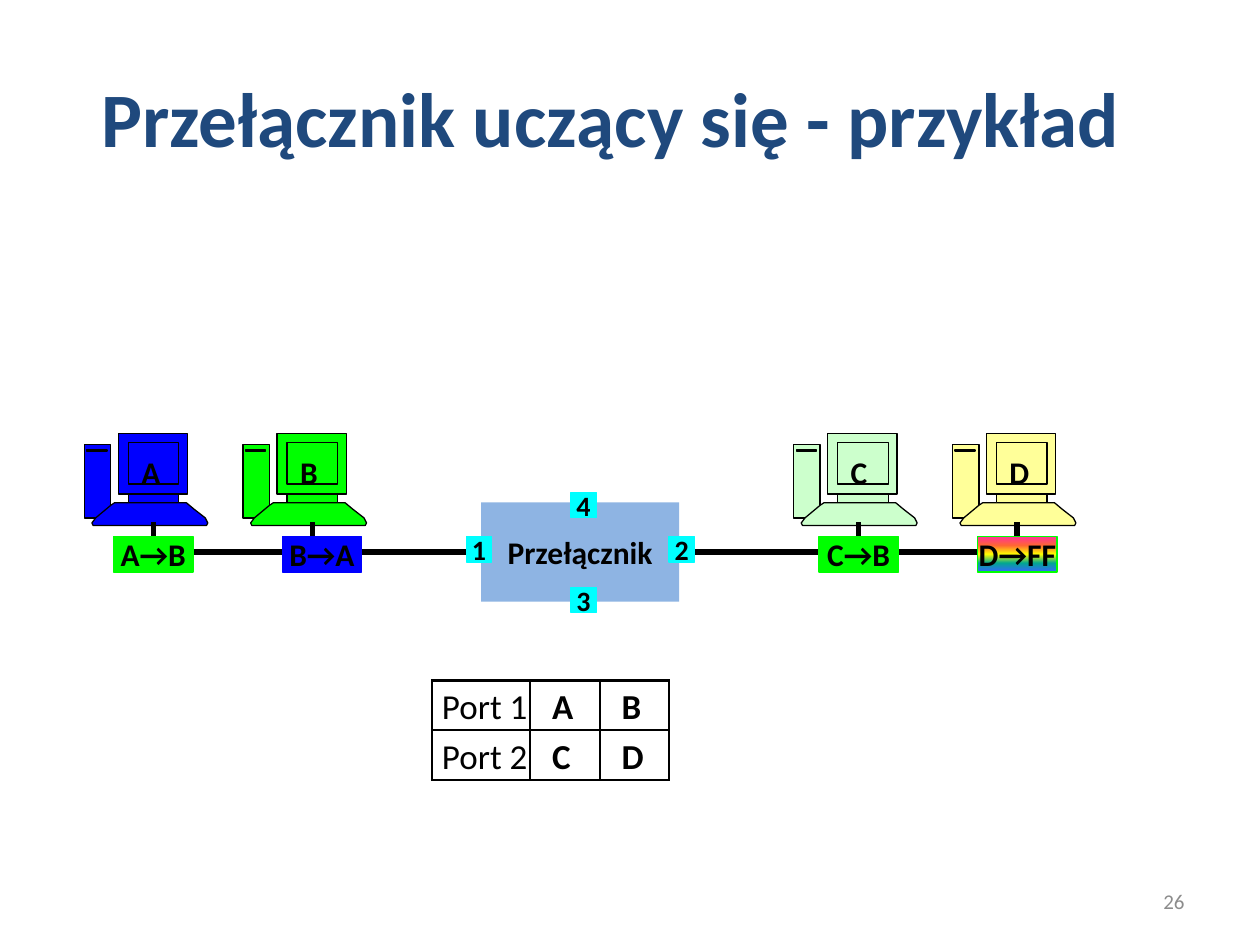
from lxml import etree
from pptx import Presentation
from pptx import oxml
from pptx.dml.color import RGBColor
from pptx.enum import shapes, text
from pptx.oxml.ns import qn
from pptx.util import Cm, Pt

BLACK = RGBColor(0, 0, 0)
NAVY = RGBColor(0x1F, 0x49, 0x7D)
GREY = RGBColor(0x8C, 0x8C, 0x8C)
SKY = RGBColor(0x8E, 0xB4, 0xE3)
CYAN = RGBColor(0, 0xFF, 0xFF)
BLUE = RGBColor(0, 0, 0xFF)
GREEN = RGBColor(0, 0xFF, 0)
MINT = RGBColor(0xCC, 0xFF, 0xCC)
CREAM = RGBColor(0xFF, 0xFF, 0x99)
RAINBOW = ["FF3399", "FF6633", "FFFF00", "01A78F", "3366FF"]

# Content (lengths in cm)
TITLE = "Przełącznik uczący się - przykład"
# name, colour, left, cable x, frame text, frame left, frame colour
HOSTS = [
    ("A", BLUE, 1.7, 3.1, "A→B", 2.29, GREEN),
    ("B", GREEN, 4.9, 6.3, "B→A", 5.69, BLUE),
    ("C", MINT, 16, 17.3, "C→B", 16.51, GREEN),
    ("D", CREAM, 19.2, 20.5, "D→FF", 19.71, None),
]
PORTS = [("1", 9.4, 10.82), ("2", 13.49, 10.82), ("3", 11.51, 11.84), ("4", 11.51, 9.93)]
BUSES = [(3.1, 9.5), (13.89, 20.5)]
ROWS = [("Port 1", "A", "B"), ("Port 2", "C", "D")]
WIDTHS = [1.98, 1.4, 1.4]
HOST_Y, CABLE_Y, BUS_Y, FRAME_Y = 8.74, 10.52, 11.13, 10.82


def box(x0, y0, x1, y1):
    return [(x0, y0), (x1, y0), (x1, y1), (x0, y1)]


# Computer outline, in hundredths of an inch
PARTS = [
    box(0, 9, 21, 67),     # tower
    [(21, 57), (24, 55), (81, 55), (87, 60), (96, 67), (98, 71),
     (97, 73), (7, 73), (6, 71), (9, 67)],  # keyboard
    box(35, 48, 75, 55),   # stand
    box(27, 0, 82, 48),    # monitor
    box(35, 7, 75, 40),    # screen
    box(2, 13, 18, 14),    # slot
]
UNIT = Cm(0.0254)

prs = Presentation()
prs.slide_width, prs.slide_height = Cm(25.4), Cm(19.05)
slide = prs.slides.add_slide(prs.slide_layouts[5])
items = slide.shapes


def style(par, size, bold=True, color=BLACK, align=text.PP_ALIGN.CENTER):
    par.alignment = align
    font = par.font
    font.name, font.size, font.bold = "Calibri", Pt(size), bold
    font.color.rgb = color


def paint(shape, fill, line):
    shape.shadow.inherit = False
    shape.fill.solid()
    shape.fill.fore_color.rgb = fill
    if line is None:
        shape.line.fill.background()
    else:
        shape.line.color.rgb = line
        shape.line.width = Pt(0.75)


def block(label, x, y, w, h, size, fill, line=None):
    shape = items.add_shape(shapes.MSO_SHAPE.RECTANGLE, Cm(x), Cm(y), Cm(w), Cm(h))
    paint(shape, fill, line)
    frame = shape.text_frame
    frame.word_wrap = False
    frame.vertical_anchor = text.MSO_ANCHOR.MIDDLE
    frame.text = label
    style(frame.paragraphs[0], size)
    return shape


def cable(x0, y0, x1, y1):
    line = items.add_connector(shapes.MSO_CONNECTOR.STRAIGHT, Cm(x0), Cm(y0), Cm(x1), Cm(y1))
    line.line.color.rgb = BLACK
    line.line.width = Pt(3)
    etree.SubElement(line._element.spPr, qn("a:effectLst"))


def host(name, color, x):
    pen = items.build_freeform(*PARTS[0][0], scale=UNIT)
    for n, part in enumerate(PARTS):
        if n:
            pen.move_to(*part[0])
        pen.add_line_segments(part[1:], close=True)
    shape = pen.convert_to_shape(Cm(x), Cm(HOST_Y))
    # One path per part, so that overlaps stay filled
    first = shape._element.xpath(".//a:path")[0]
    goal = first
    for step in list(first)[1:]:
        if step.tag == qn("a:moveTo"):
            goal = etree.SubElement(first.getparent(), first.tag, dict(first.attrib))
        goal.append(step)
    paint(shape, color, BLACK)
    frame = shape.text_frame
    frame.vertical_anchor = text.MSO_ANCHOR.TOP
    frame.margin_left, frame.margin_top = Cm(1.15), Cm(0.4)
    frame.margin_right = frame.margin_bottom = 0
    frame.word_wrap = False
    frame.text = name
    style(frame.paragraphs[0], 18, align=text.PP_ALIGN.LEFT)


def rainbow(shape):
    stops = "".join(f'<a:gs pos="{n * 25000}"><a:srgbClr val="{c}"/></a:gs>'
                    for n, c in enumerate(RAINBOW))
    space = "http://schemas.openxmlformats.org/drawingml/2006/main"
    grad = oxml.parse_xml(f'<a:gradFill xmlns:a="{space}" rotWithShape="1"><a:gsLst>{stops}'
                          '</a:gsLst><a:lin ang="5400000" scaled="1"/></a:gradFill>')
    props = shape._element.spPr
    props.replace(props.find(qn("a:solidFill")), grad)


def border(cell):
    props = cell._tc.get_or_add_tcPr()
    for n, side in enumerate(("lnL", "lnR", "lnT", "lnB")):
        line = etree.Element(qn("a:" + side), w=str(Pt(1.5)))
        fill = etree.SubElement(line, qn("a:solidFill"))
        etree.SubElement(fill, qn("a:srgbClr"), val=str(BLACK))
        props.insert(n, line)


# Title
title = items.title
title.left, title.top, title.width, title.height = Cm(0.51), Cm(0.76), Cm(23.62), Cm(3.18)
title.text_frame.text = TITLE
title.text_frame.vertical_anchor = text.MSO_ANCHOR.MIDDLE
style(title.text_frame.paragraphs[0], 44, color=NAVY)

# Network
block("Przełącznik", 9.7, 10.13, 3.99, 2, 18, SKY)
for x0, x1 in BUSES:
    cable(x0, BUS_Y, x1, BUS_Y)
for label, x, y in PORTS:
    block(label, x, y, 0.51, 0.51, 16, CYAN, CYAN)
for name, color, x, wire, label, left, fill in HOSTS:
    host(name, color, x)
    cable(wire, BUS_Y, wire, CABLE_Y)
    tone = fill or GREEN
    packet = block(label, left, FRAME_Y, 1.6, 0.71, 18, tone, tone)
    if fill is None:
        rainbow(packet)

# Address table
grid = items.add_table(len(ROWS), len(WIDTHS), Cm(8.71), Cm(13.72), Cm(sum(WIDTHS)), Cm(2)).table
grid.first_row = grid.horz_banding = False
for col, width in zip(grid.columns, WIDTHS):
    col.width = Cm(width)
for r, row in enumerate(ROWS):
    grid.rows[r].height = Cm(1)
    for c, label in enumerate(row):
        cell = grid.cell(r, c)
        cell.fill.background()
        cell.margin_left, cell.margin_top = Cm(0.44 if c else 0.2), Cm(0.12)
        cell.margin_right = cell.margin_bottom = 0
        cell.text = label
        style(cell.text_frame.paragraphs[0], 20, bold=c > 0, align=text.PP_ALIGN.LEFT)
        border(cell)

# Page number
page = items.add_textbox(Cm(18.21), Cm(17.65), Cm(5.92), Cm(1.02)).text_frame
page.word_wrap = True
page.vertical_anchor = text.MSO_ANCHOR.MIDDLE
page.text = "26"
style(page.paragraphs[0], 12, False, GREY, text.PP_ALIGN.RIGHT)

prs.save("out.pptx")
